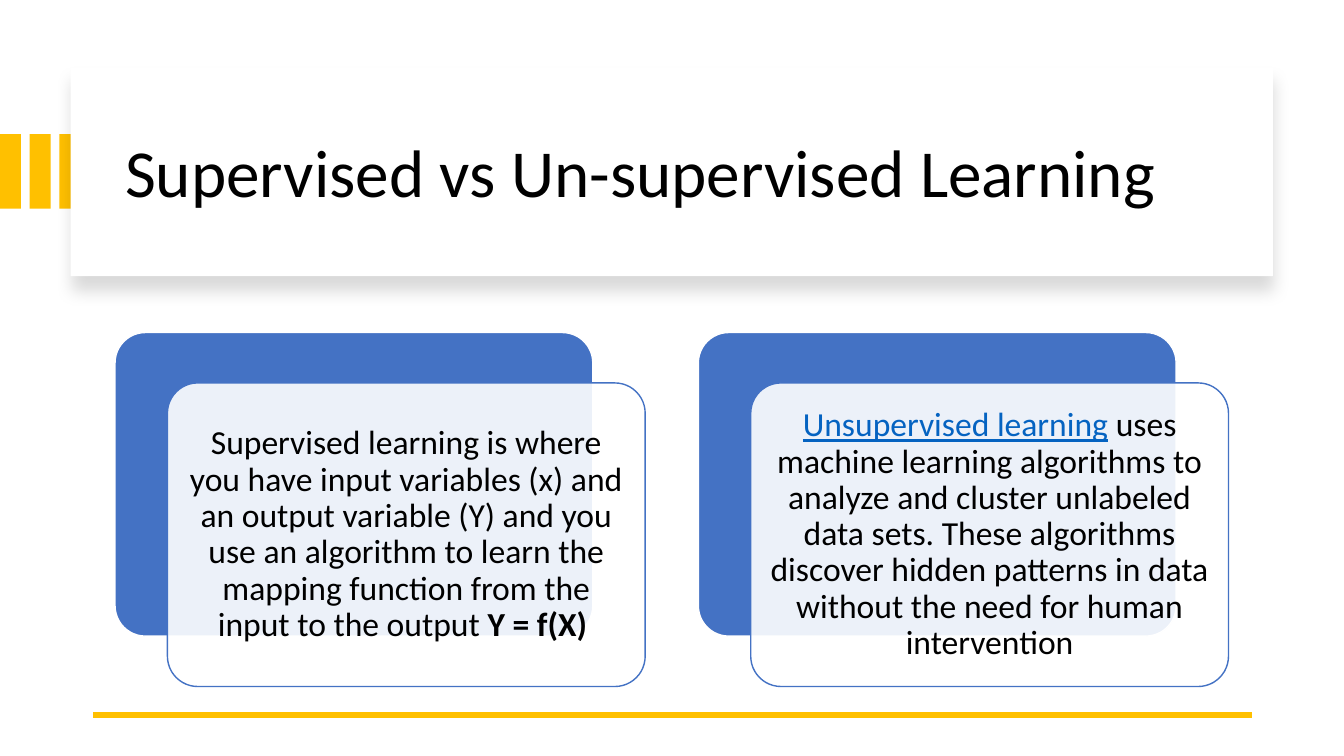
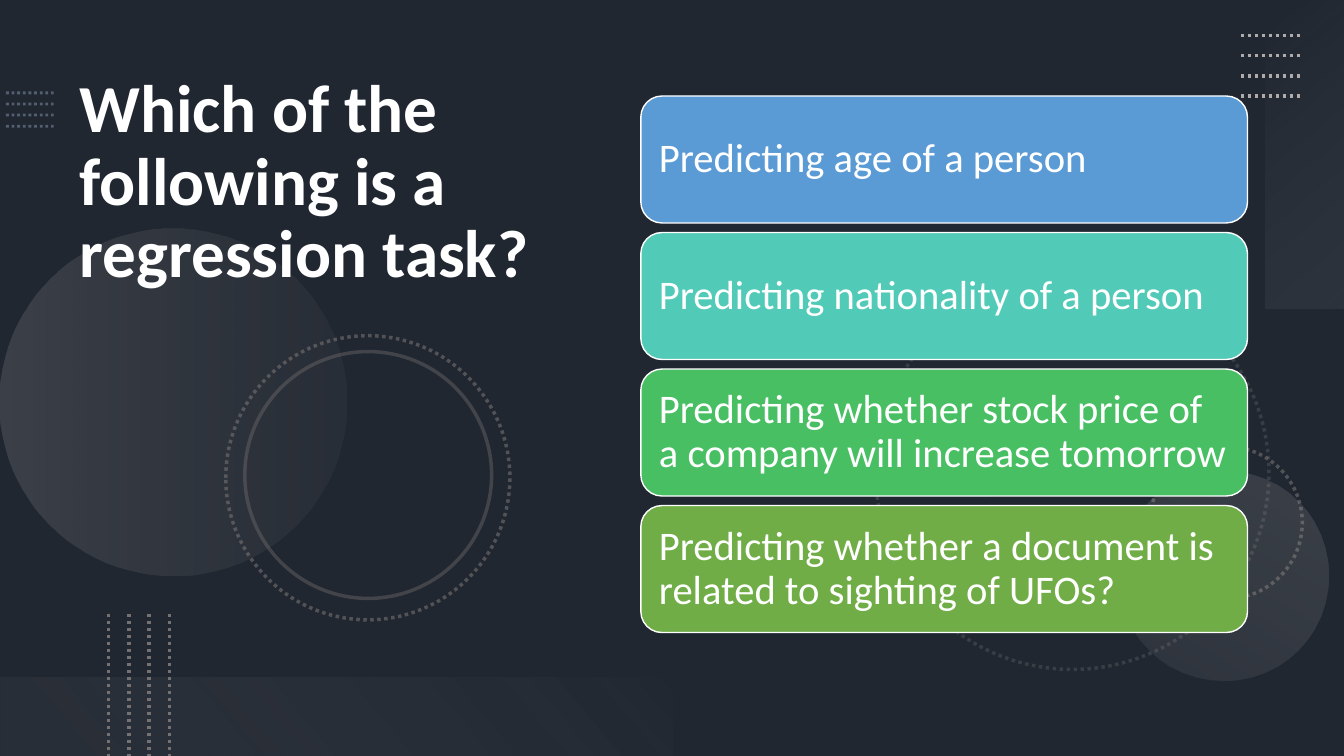
"""Builds two slides on supervised learning and regression tasks."""
from dataclasses import dataclass

from pptx import Presentation
from pptx.dml.color import RGBColor
from pptx.enum.dml import MSO_LINE
from pptx.enum.shapes import MSO_CONNECTOR, MSO_SHAPE
from pptx.enum.text import MSO_ANCHOR, MSO_AUTO_SIZE, PP_ALIGN
from pptx.oxml import parse_xml
from pptx.oxml.ns import nsdecls, qn
from pptx.util import Cm, Pt

RECT, ROUND, OVAL = MSO_SHAPE.RECTANGLE, MSO_SHAPE.ROUNDED_RECTANGLE, MSO_SHAPE.OVAL
LEFT, CENTER = PP_ALIGN.LEFT, PP_ALIGN.CENTER
TOP, MIDDLE = MSO_ANCHOR.TOP, MSO_ANCHOR.MIDDLE
STRAIGHT, DOT = MSO_CONNECTOR.STRAIGHT, MSO_LINE.ROUND_DOT
FIT_NONE = MSO_AUTO_SIZE.NONE


@dataclass(frozen=True)
class Theme:
    """Colours, font and type sizes of the deck."""
    font: str = "Calibri"
    head: float = 48
    card: float = 24
    row: float = 29
    white: str = "FFFFFF"
    black: str = "000000"
    gold: str = "FFC000"
    blue: str = "4472C4"
    link: str = "0563C1"
    slate: str = "44546A"
    steel: str = "8497B0"
    gray: str = "767171"
    silver: str = "AFABAB"
    mist: str = "F5F5F5"
    rows: tuple = ("5B9BD5", "52CAB8", "49BF64", "70AD47")


class Deck:
    """Holds the theme and the current slide, and draws elements in cm."""

    def __init__(self, theme):
        """Open an empty wide deck."""
        self.theme = theme
        self.prs = Presentation()
        self.prs.slide_width, self.prs.slide_height = Cm(33.87), Cm(19.05)
        self.slide = None

    def page(self, color):
        """Start a slide with a plain background."""
        self.slide = self.prs.slides.add_slide(self.prs.slide_layouts[5])
        fill = self.slide.background.fill
        fill.solid()
        fill.fore_color.rgb = RGBColor.from_string(color)

    def node(self, tag, attrs="", inner=""):
        """Make a drawing element."""
        return parse_xml(f"<a:{tag} {nsdecls('a')} {attrs}>{inner}</a:{tag}>")

    def tint(self, color, alpha):
        """Give the markup of a colour with opacity in percent."""
        return (f'<a:srgbClr val="{color}"><a:alpha val="{alpha * 1000}"/>'
                "</a:srgbClr>")

    def fade(self, part, alpha):
        """Set the opacity of a solid fill or line."""
        if alpha < 100:
            color = part.find(qn("a:solidFill")).find(qn("a:srgbClr"))
            color.append(self.node("alpha", f'val="{alpha * 1000}"'))

    def edge(self, item, color, width, dash=None, alpha=100):
        """Style the line of a shape or connector."""
        item.line.color.rgb = RGBColor.from_string(color)
        item.line.width = Pt(width)
        if dash:
            item.line.dash_style = dash
        self.fade(item._element.spPr.find(qn("a:ln")), alpha)

    def shape(self, kind, box, fill=None, alpha=100, turn=0):
        """Add a flat shape without a line."""
        item = self.slide.shapes.add_shape(kind, *map(Cm, box))
        item.shadow.inherit = False
        item.rotation = turn
        item.line.fill.background()
        if fill:
            item.fill.solid()
            item.fill.fore_color.rgb = RGBColor.from_string(fill)
            self.fade(item._element.spPr, alpha)
        else:
            item.fill.background()
        return item

    def blend(self, kind, box, turn, angle, *stops):
        """Add a shape with a see-through gradient."""
        item = self.shape(kind, box, turn=turn)
        marks = "".join(f'<a:gs pos="{pos * 1000}">{self.tint(color, alpha)}</a:gs>'
                        for pos, color, alpha in stops)
        grad = self.node("gradFill", 'rotWithShape="1"',
                         f'<a:gsLst>{marks}</a:gsLst><a:lin ang="{angle * 60000}"/>')
        part = item._element.spPr
        part.replace(part.find(qn("a:noFill")), grad)

    def ring(self, box, dash=None, alpha=100):
        """Add an outlined circle."""
        self.edge(self.shape(OVAL, box), self.theme.gray, 2.5, dash, alpha)

    def line(self, ends, color, width, dash=None, alpha=100):
        """Add a straight line."""
        item = self.slide.shapes.add_connector(STRAIGHT, *map(Cm, ends))
        self.edge(item, color, width, dash, alpha)
        item._element.spPr.append(self.node("effectLst"))

    def dots(self, ends, step, color, width, alpha=100):
        """Add four dotted lines at equal steps."""
        x1, y1, x2, y2 = ends
        dx, dy = step
        for i in range(4):
            self.line((x1 + i * dx, y1 + i * dy, x2 + i * dx, y2 + i * dy),
                      color, width, DOT, alpha)

    def panel(self, box):
        """Add a white panel with a soft shadow below."""
        item = self.shape(RECT, box, self.theme.white)
        shade = self.node("outerShdw",
                          f'blurRad="{Pt(11)}" dist="{Pt(10)}" dir="5400000"',
                          self.tint(self.theme.black, 15))
        item._element.spPr.find(qn("a:effectLst")).append(shade)

    def label(self, frame, runs, size, color, align=LEFT, anchor=MIDDLE, bold=False):
        """Fill a text frame with one paragraph and return its runs."""
        frame.word_wrap = True
        frame.auto_size = FIT_NONE
        frame.vertical_anchor = anchor
        para = frame.paragraphs[0]
        para.alignment, para.line_spacing = align, 0.9
        font = para.font
        font.name, font.size, font.bold = self.theme.font, Pt(size), bold
        font.color.rgb = RGBColor.from_string(color)
        for text in runs:
            para.add_run().text = text
        return para.runs

    def title(self, text, box, color, anchor=MIDDLE, bold=False):
        """Place the title above what is drawn so far."""
        item = self.slide.shapes.title
        item.left, item.top, item.width, item.height = map(Cm, box)
        self.label(item.text_frame, [text], self.theme.head, color, LEFT, anchor, bold)
        self.slide.shapes._spTree.append(item._element)

    def inset(self, frame, gap):
        """Set equal margins."""
        frame.margin_left = frame.margin_right = Cm(gap)
        frame.margin_top = frame.margin_bottom = Cm(gap)

    def card(self, x, y, runs):
        """Add a blue plate with a text card in front and return the runs."""
        theme = self.theme
        wide, high = 12.04, 7.65
        back = self.shape(ROUND, (x, y, wide, high), theme.blue)
        front = self.shape(ROUND, (x + 1.32, y + 1.27, wide, high), theme.white, 90)
        for item, color in ((back, theme.white), (front, theme.blue)):
            item.adjustments[0] = 0.1
            self.edge(item, color, 1)
        self.inset(front.text_frame, 0.25)
        return self.label(front.text_frame, runs, theme.card, theme.black, CENTER)

    def row(self, box, text, color):
        """Add an answer bar."""
        item = self.shape(ROUND, box, color)
        self.edge(item, self.theme.white, 1)
        self.inset(item.text_frame, 0.3)
        self.label(item.text_frame, [text], self.theme.row, self.theme.white)


def compare(deck):
    """Draw the slide that compares both kinds of learning."""
    theme = deck.theme
    deck.page(theme.white)
    for i in range(3):
        deck.shape(RECT, (i * 0.75, 3.38, 0.53, 1.88), theme.gold)
    deck.panel((1.78, 1.7, 30.3, 5.26))
    deck.title("Supervised vs Un-supervised Learning", (2.9, 2.26, 28.27, 4.32),
               theme.black)
    deck.line((31.55, 18.01, 2.34, 18.01), theme.gold, 4.5)
    runs = deck.card(2.9, 8.38, [
        "Supervised learning is where you have input variables (x) and an output "
        "variable (Y) and you use an algorithm to learn the mapping function from "
        "the input to the output", "\u00a0Y = f(X)\u00a0"])
    runs[1].font.bold = True
    runs = deck.card(17.6, 8.38, [
        "Unsupervised learning",
        "\u00a0uses machine learning algorithms to analyze and cluster unlabeled data "
        "sets. These algorithms discover hidden patterns in data without the need "
        "for human intervention"])
    runs[0].font.underline = True
    runs[0].font.color.rgb = RGBColor.from_string(theme.link)


def quiz(deck):
    """Draw the slide that asks for the regression task."""
    theme = deck.theme
    deck.page(theme.slate)
    deck.shape(RECT, (0, 0, 33.87, 19.05), theme.black, 53)
    deck.dots((0.15, 2.34, 1.35, 2.34), (0, 0.28), theme.steel, 2, 50)
    deck.ring((22.07, 6.96, 9.91, 9.91), DOT, 30)
    deck.ring((28.98, 11.25, 3.84, 3.84), DOT, 60)
    deck.blend(OVAL, (0, 5.77, 8.74, 8.74), 270, 90,
               (0, theme.silver, 20), (100, theme.gray, 10))
    deck.blend(OVAL, (28.19, 11.86, 5.28, 5.28), 210, 90,
               (0, theme.silver, 10), (100, theme.silver, 20))
    deck.ring((5.69, 8.46, 7.16, 7.16), DOT, 60)
    deck.ring((6.17, 8.86, 6.22, 6.22), alpha=40)
    deck.blend(RECT, (29.01, 2.9, 7.77, 1.98), 270, 140,
               (0, theme.mist, 0), (100, theme.silver, 10))
    deck.dots((31.27, 0.89, 32.79, 0.89), (0, 0.51), theme.silver, 2.5)
    deck.blend(RECT, (0, 17.07, 16.94, 1.98), 180, 140,
               (10, theme.gray, 10), (100, theme.mist, 0))
    deck.dots((2.74, 15.47, 2.74, 19.05), (0.51, 0), theme.gray, 2.5)
    deck.title("Which of the following is a regression task?\u00a0",
               (1.75, 1.75, 13.74, 15.32), theme.white, TOP, True)
    tasks = ("Predicting age of a person",
             "Predicting nationality of a person",
             "Predicting whether stock price of a company will increase tomorrow",
             "Predicting whether a document is related to sighting of UFOs?")
    for i, (text, color) in enumerate(zip(tasks, theme.rows)):
        deck.row((16.15, 2.42 + i * 3.44, 15.29, 3.2), text, color)


deck = Deck(Theme())
compare(deck)
quiz(deck)
deck.prs.save("out.pptx")
